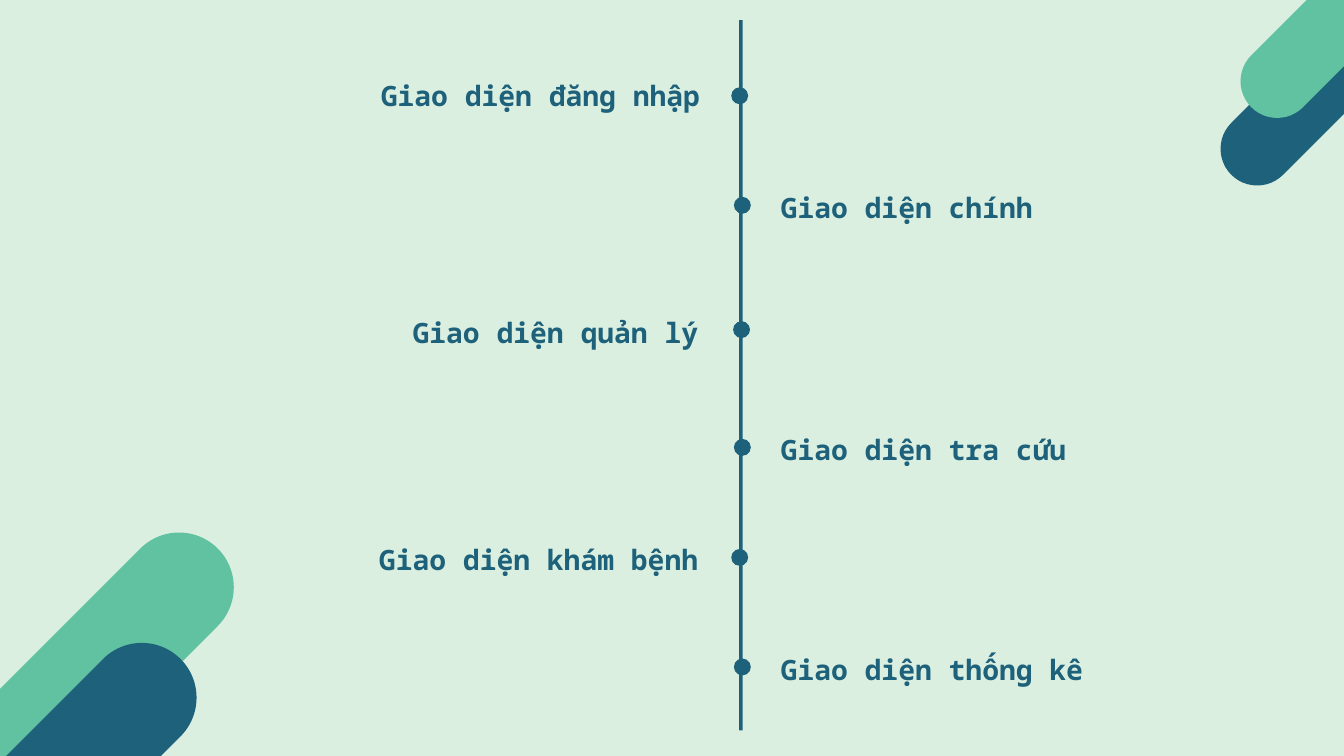
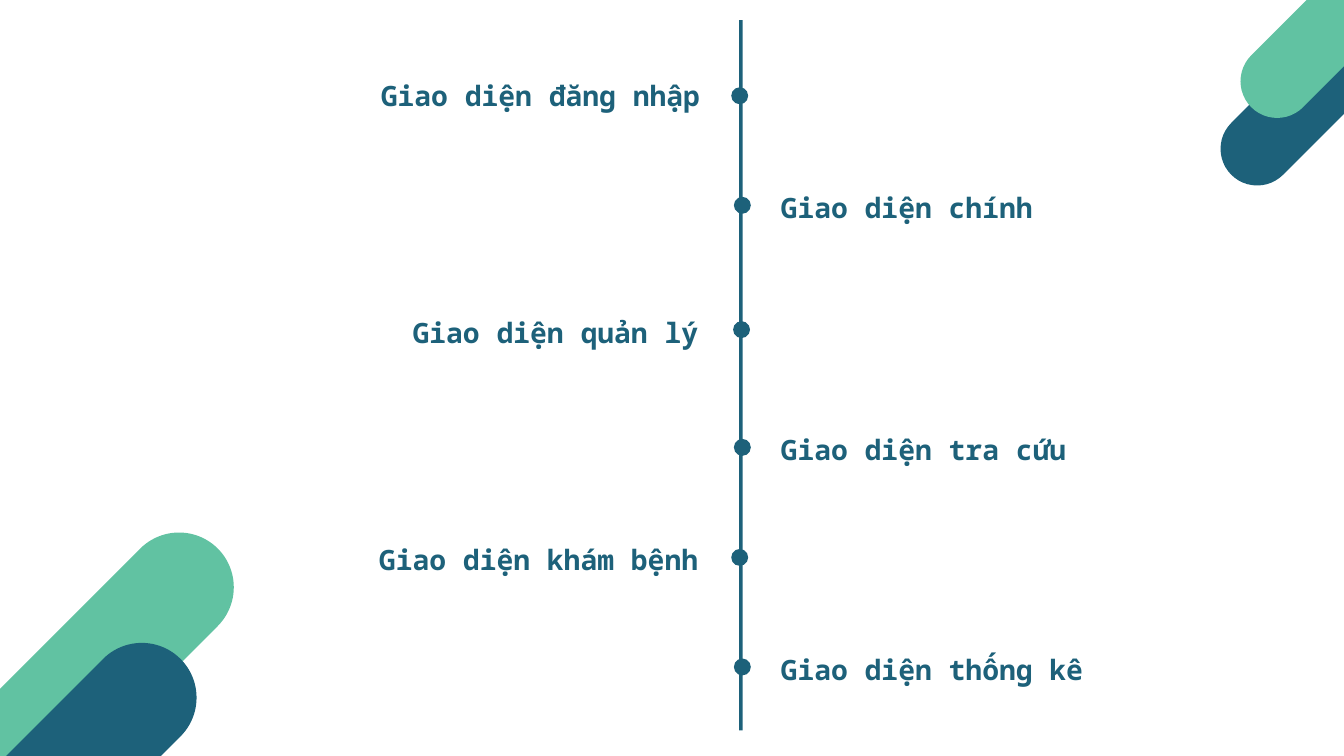
"""Builds two timeline slides that list the screens of an application."""
import pptx
import pptx.dml.color
import pptx.enum.shapes
import pptx.enum.text
import pptx.util

Cm, Pt = pptx.util.Cm, pptx.util.Pt
RGBColor = pptx.dml.color.RGBColor
SHAPE = pptx.enum.shapes.MSO_SHAPE
ALIGN = pptx.enum.text.PP_ALIGN

BLUE = RGBColor(0x1D, 0x61, 0x7A)
GREEN = RGBColor(0x61, 0xC2, 0xA2)
MINT = RGBColor(0xDB, 0xEF, 0xE1)
WHITE = RGBColor(0xFF, 0xFF, 0xFF)

SLIDE_WIDTH = 50.8
AXIS = (27.94, 0.76, 0.13, 26.85)
DOT_SIZE = 0.64
LABEL_SIZE = (13.23, 1.32)
RIGHT_LABEL = 29.51
LABEL_FONT = {"name": "Noto Sans Mono", "size": Pt(30), "bold": True}

CAPSULES = [
    (45.26, 2.13, 8.74, 2.77, BLUE),
    (45.97, -0.53, 9.04, 2.77, GREEN),
    (-3.3, 23.44, 13.51, 4.14, GREEN),
    (-4.34, 27.46, 13.08, 4.14, BLUE),
]

SCREENS = [
    ("Giao diện đăng nhập", 13.23, 2.87, 27.64, 3.3),
    ("Giao diện chính", RIGHT_LABEL, 7.09, 27.74, 7.44),
    ("Giao diện quản lý", 13.16, 11.81, 27.71, 12.14),
    ("Giao diện tra cứu", RIGHT_LABEL, 16.26, 27.74, 16.59),
    ("Giao diện khám bệnh", 13.16, 20.4, 27.64, 20.75),
    ("Giao diện thống kê", RIGHT_LABEL, 24.56, 27.74, 24.89),
]


def add_solid(slide, preset, left, top, width, height, color):
    """Add a filled preset shape without outline or shadow."""
    solid = slide.shapes.add_shape(preset, Cm(left), Cm(top), Cm(width), Cm(height))
    solid.shadow.inherit = False
    solid.fill.solid()
    solid.fill.fore_color.rgb = color
    solid.line.fill.background()
    return solid


def add_capsule(slide, left, top, width, height, color):
    """Add a diagonal bar with fully round ends."""
    capsule = add_solid(slide, SHAPE.ROUNDED_RECTANGLE, left, top, width, height, color)
    capsule.adjustments[0] = 0.5
    capsule.rotation = 315


def add_label(slide, wording, left, top):
    """Add a screen name, aligned towards the axis."""
    label = slide.shapes.add_textbox(Cm(left), Cm(top), *map(Cm, LABEL_SIZE))
    frame = label.text_frame
    frame.word_wrap = True
    frame.auto_size = pptx.enum.text.MSO_AUTO_SIZE.SHAPE_TO_FIT_TEXT
    for side in ("left", "top", "right", "bottom"):
        setattr(frame, f"margin_{side}", 0)
    paragraph = frame.paragraphs[0]
    paragraph.alignment = ALIGN.LEFT if left == RIGHT_LABEL else ALIGN.RIGHT
    paragraph.line_spacing = Pt(39)
    run = paragraph.add_run()
    run.text = wording
    for attribute, value in LABEL_FONT.items():
        setattr(run.font, attribute, value)
    run.font.color.rgb = BLUE


def add_timeline_slide(deck, background):
    """Add one slide with the axis, its screens and the corner capsules."""
    slide = deck.slides.add_slide(deck.slide_layouts[6])
    slide.background.fill.solid()
    slide.background.fill.fore_color.rgb = background
    add_solid(slide, SHAPE.RECTANGLE, *AXIS, BLUE)
    for capsule in CAPSULES:
        add_capsule(slide, *capsule)
    for wording, label_left, label_top, dot_left, dot_top in SCREENS:
        add_solid(slide, SHAPE.OVAL, dot_left, dot_top, DOT_SIZE, DOT_SIZE, BLUE)
        add_label(slide, wording, label_left, label_top)


def main():
    """Build and save the deck."""
    deck = pptx.Presentation()
    deck.slide_width = Cm(SLIDE_WIDTH)
    deck.slide_height = Cm(SLIDE_WIDTH * 9 / 16)
    for background in (MINT, WHITE):
        add_timeline_slide(deck, background)
    deck.save("out.pptx")


if __name__ == "__main__":
    main()
